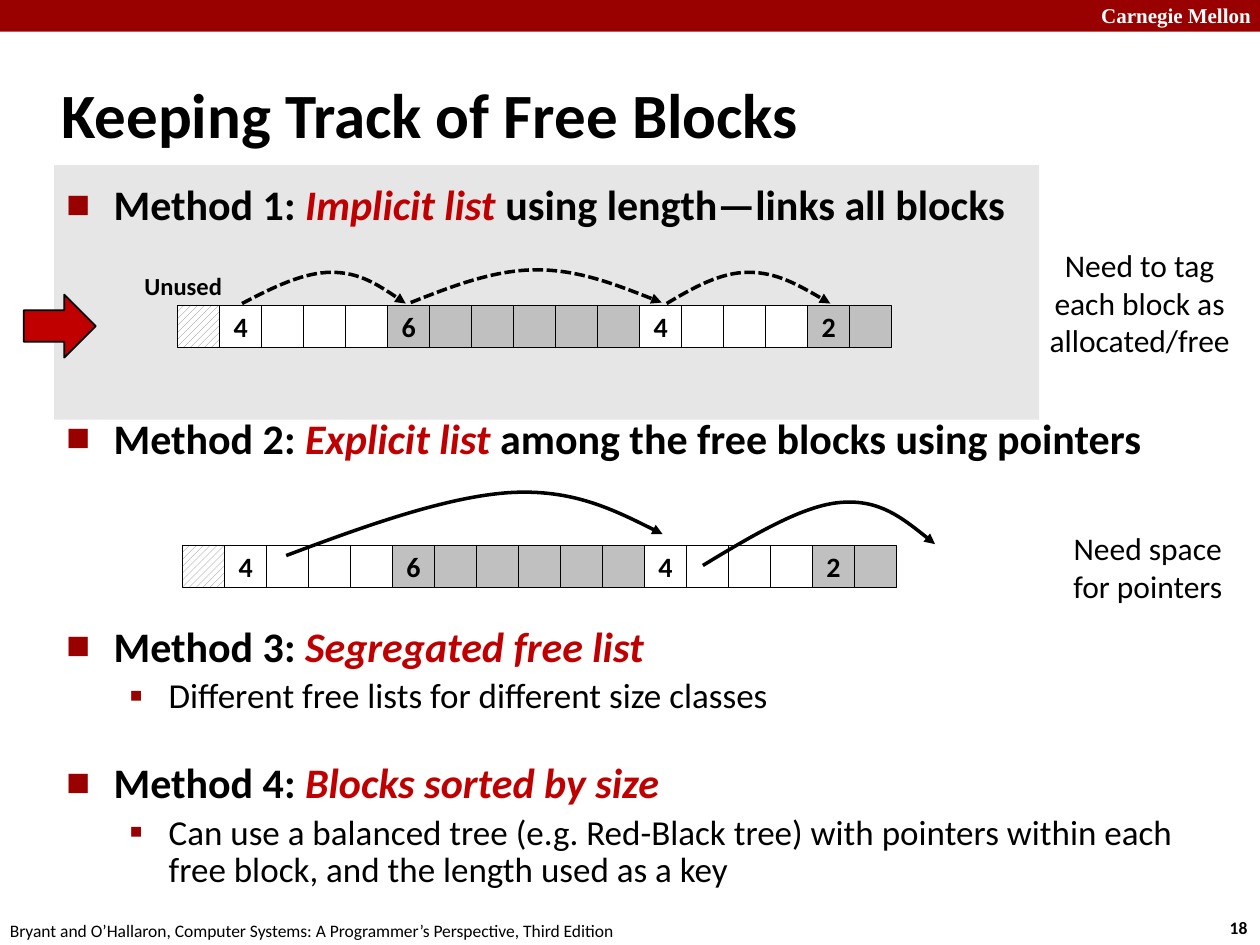
from lxml import etree
from pptx import Presentation
from pptx.dml import color
from pptx.enum import dml, shapes, text
from pptx.oxml import ns
from pptx.util import Cm, Pt

RED, DEEP, BLACK, WHITE, GREY = "C00000", "990000", "000000", "FFFFFF", "C0C0C0"
MID, LEFT = text.PP_ALIGN.CENTER, text.PP_ALIGN.LEFT
CELL = 2.54 / 3

# box (left, top, width, height in cm), lines, format
LABELS = [
    ((21.95, -0.08, 3.63, 0.76), ["Carnegie Mellon"],
     dict(size=12, bold=True, name="Times New Roman", hue=WHITE)),
    ((24.54, 18.36, 0.94, 0.69), ["18"], dict(size=10, bold=True)),
    ((-0.05, 18.42, 12.9, 0.69),
     ["Bryant and O’Hallaron, Computer Systems: A Programmer’s Perspective, Third Edition"],
     dict(size=10)),
    ((0.99, 1.22, 21.08, 2.11), ["Keeping Track of Free Blocks"],
     dict(size=36, bold=True, anchor=text.MSO_ANCHOR.MIDDLE)),
    ((20.88, 4.83, 4.19, 2.57), ["Need to tag", "each block as", "allocated/free"],
     dict(size=18, align=MID)),
    ((21.31, 10.54, 3.66, 1.8), ["Need space", "for pointers"], dict(size=18, align=MID)),
    ((2.54, 5.28, 2.31, 0.94), ["Unused"],
     dict(size=14, bold=True, align=MID, anchor=text.MSO_ANCHOR.MIDDLE)),
]

# level, space before (pt), line spacing, runs (every second run is stressed)
BODY = [
    (0, 0, 1.0, ["Method 1: ", "Implicit list ", "using length—links all blocks"]),
    (0, 104.5, 1.0, ["Method 2: ", "Explicit list ", "among the free blocks using pointers"]),
    (0, 95, 0.83, ["Method 3: ", "Segregated free list"]),
    (1, 5, 0.88, ["Different free lists for different size classes"]),
    (0, 28, 0.83, ["Method 4: ", "Blocks sorted by size"]),
    (1, 5, 0.88, ["Can use a balanced tree (e.g. Red-Black tree) with pointers within each "
                  "free block, and the length used as a key"]),
]
LEVELS = [
    dict(size=24, bold=True, left=0.95, hang=0.95, mark="■", scale=60),
    dict(size=20, bold=False, left=2.06, hang=0.79, mark="▪", scale=110),
]

BLOCKS = [(4, WHITE), (6, GREY), (4, WHITE), (2, GREY)]
HEAPS = [(3.58, 6.15), (3.68, 11)]

# start point, then control, control, end for each of two curves
DASHED = [
    [(4.88, 6.12), (5.51, 5.79), (6.12, 5.49), (6.68, 5.49), (7.24, 5.49), (7.7, 5.79), (8.18, 6.12)],
    [(8.28, 6.1), (9.12, 5.77), (9.96, 5.44), (10.82, 5.44), (11.66, 5.44), (12.5, 5.77), (13.34, 6.1)],
    [(13.44, 6.12), (13.99, 5.79), (14.53, 5.49), (15.09, 5.49), (15.65, 5.49), (16.18, 5.79), (16.74, 6.12)],
]
SOLID = [
    [(5.77, 11.2), (7.39, 10.59), (9.02, 10.01), (10.29, 9.93), (11.53, 9.86), (12.45, 10.31), (13.36, 10.77)],
    [(14.17, 11.4), (15.16, 10.8), (16.18, 10.19), (16.94, 10.13), (17.73, 10.06), (18.29, 10.52), (18.85, 10.97)],
]


def rgb(code):
    return color.RGBColor.from_string(code)


def put(thing, **vals):
    for key, val in vals.items():
        setattr(thing, key, val)


def write(para, words, size, hue=BLACK, **vals):
    run = para.add_run()
    run.text = words
    put(run.font, **{"size": Pt(size), "name": "Calibri", **vals})
    run.font.color.rgb = rgb(hue)


def add_text(slide, box, lines, anchor=text.MSO_ANCHOR.TOP, align=LEFT, **vals):
    frame = slide.shapes.add_textbox(*map(Cm, box)).text_frame
    put(frame, word_wrap=False, vertical_anchor=anchor)
    for num, line in enumerate(lines):
        para = frame.add_paragraph() if num else frame.paragraphs[0]
        para.alignment = align
        write(para, line, **vals)


def add_box(home, box, fill, width=0, kind=shapes.MSO_SHAPE.RECTANGLE):
    """Add a filled shape, outlined in black if it has a line width."""
    shape = home.shapes.add_shape(kind, *map(Cm, box))
    shape.shadow.inherit = False
    shape.fill.solid()
    shape.fill.fore_color.rgb = rgb(fill)
    if width:
        shape.line.color.rgb = rgb(BLACK)
        shape.line.width = Pt(width)
    else:
        shape.line.fill.background()
    return shape


def add_bullet(para, left, hang, mark, scale):
    props = para._p.get_or_add_pPr()
    put_in = lambda home, tag, **vals: etree.SubElement(home, ns.qn(tag), **vals)
    props.set("marL", str(Cm(left)))
    props.set("indent", str(-Cm(hang)))
    put_in(put_in(props, "a:buClr"), "a:srgbClr", val=DEEP)
    put_in(props, "a:buSzPct", val=str(scale * 1000))
    put_in(props, "a:buFont", typeface="Calibri")
    put_in(props, "a:buChar", char=mark)


def add_body(slide):
    frame = slide.shapes.add_textbox(Cm(1.09), Cm(3.48), Cm(23.04), Cm(14.94)).text_frame
    frame.word_wrap = True
    for num, (level, gap, pitch, runs) in enumerate(BODY):
        para = frame.add_paragraph() if num else frame.paragraphs[0]
        look = dict(LEVELS[level])
        size, bold = look.pop("size"), look.pop("bold")
        add_bullet(para, **look)
        put(para, level=level, line_spacing=pitch, space_before=Pt(gap))
        for pos, words in enumerate(runs):
            stress = pos % 2 == 1
            write(para, words, size, RED if stress else BLACK, bold=bold, italic=stress)


def add_heap(slide, left, top):
    """Draw one row of cells: an unused one, then each block led by its length."""
    group = slide.shapes.add_group_shape()
    cells = [("", WHITE)]
    for count, fill in BLOCKS:
        cells += [(str(count), fill)] + [("", fill)] * (count - 1)
    for col, (label, fill) in enumerate(cells):
        cell = add_box(group, (left + col * CELL, top, CELL, CELL), fill, 0.25)
        if col == 0:
            cell.fill.patterned()
            cell.fill.pattern = dml.MSO_PATTERN.WIDE_UPWARD_DIAGONAL
            cell.fill.fore_color.rgb = rgb("808080")
            cell.fill.back_color.rgb = rgb(WHITE)
        if label:
            put(cell.text_frame, word_wrap=False, vertical_anchor=text.MSO_ANCHOR.MIDDLE)
            para = cell.text_frame.paragraphs[0]
            para.alignment = MID
            write(para, label, 16, bold=True)


def add_arc(slide, points, dash=None):
    spots = [(Cm(x), Cm(y)) for x, y in points]
    pen = slide.shapes.build_freeform(*spots[0])
    pen.add_line_segments(spots[1:], close=False)
    arc = pen.convert_to_shape()
    arc.shadow.inherit = False
    arc.fill.background()
    arc.line.color.rgb = rgb(BLACK)
    put(arc.line, width=Pt(2), dash_style=dash)
    etree.SubElement(arc.line._get_or_add_ln(), ns.qn("a:tailEnd"), type="triangle")
    # turn every three straight segments into one cubic curve
    route = next(arc._element.iter(ns.qn("a:path")))
    steps = route.findall(ns.qn("a:lnTo"))
    for num, step in enumerate(steps):
        if num % 3 == 0:
            curve = etree.SubElement(route, ns.qn("a:cubicBezTo"))
        curve.append(step[0])
        route.remove(step)


def main():
    deck = Presentation()
    put(deck, slide_width=Cm(25.4), slide_height=Cm(19.05))
    slide = deck.slides.add_slide(deck.slide_layouts[6])
    add_box(slide, (0, 0, 25.4, 0.64), DEEP)
    add_box(slide, (1.09, 3.33, 19.86, 5.13), "E6E6E6")
    for box, lines, look in LABELS:
        add_text(slide, box, lines, **look)
    add_body(slide)
    for points in DASHED:
        add_arc(slide, points, dml.MSO_LINE.SQUARE_DOT)
    for left, top in HEAPS:
        add_heap(slide, left, top)
    for points in SOLID:
        add_arc(slide, points)
    add_box(slide, (0.48, 5.94, 1.45, 1.27), RED, 1, shapes.MSO_SHAPE.RIGHT_ARROW)
    deck.save("out.pptx")


if __name__ == "__main__":
    main()
